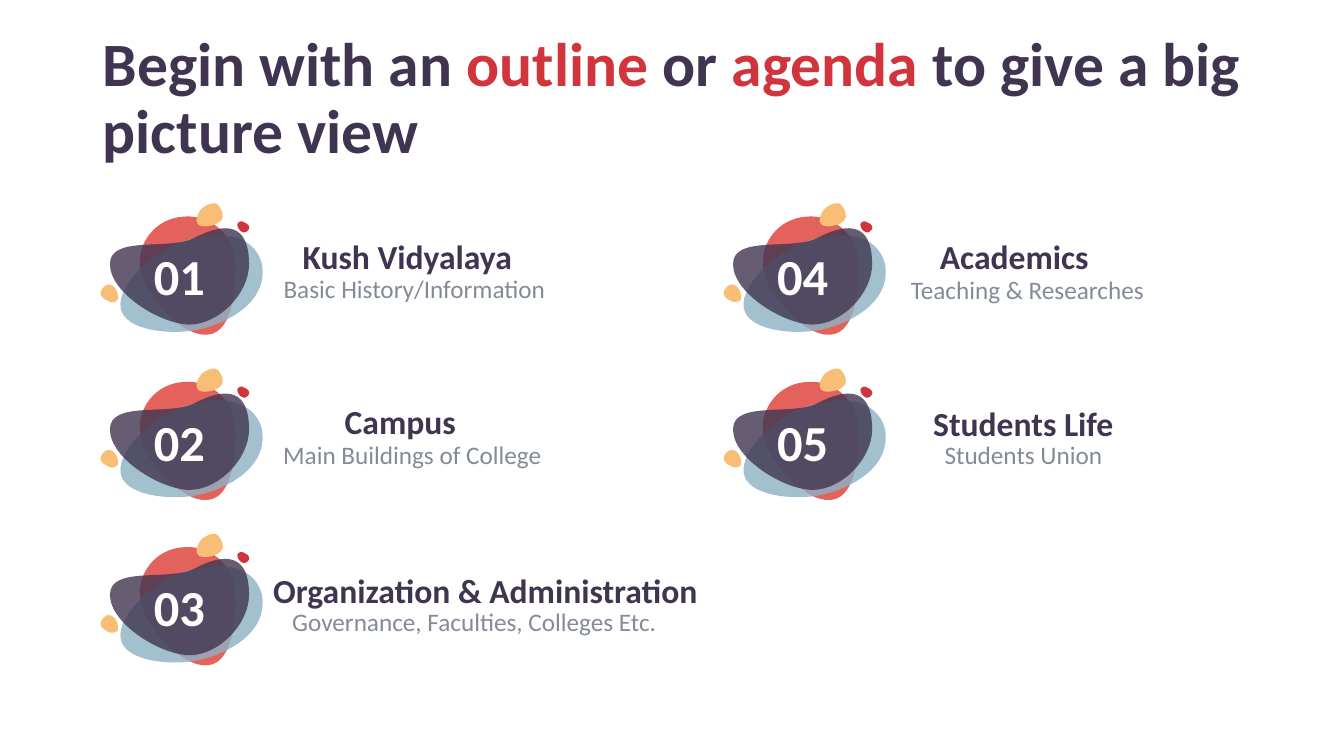
from dataclasses import dataclass

from lxml import etree
from pptx import Presentation
from pptx.dml.color import RGBColor
from pptx.enum.text import MSO_ANCHOR, MSO_AUTO_SIZE, PP_ALIGN
from pptx.oxml.ns import qn
from pptx.shapes.autoshape import Shape
from pptx.shapes.group import GroupShape
from pptx.shapes.shapetree import SlideShapes
from pptx.slide import Slide
from pptx.text.text import Font
from pptx.util import Inches, Pt

LEFT, CENTER = PP_ALIGN.LEFT, PP_ALIGN.CENTER
TOP, MIDDLE, BOTTOM = MSO_ANCHOR.TOP, MSO_ANCHOR.MIDDLE, MSO_ANCHOR.BOTTOM
GROW, NO_FIT = MSO_AUTO_SIZE.SHAPE_TO_FIT_TEXT, MSO_AUTO_SIZE.NONE

FONT_NAME = "Calibri"
PLUM = RGBColor(0x40, 0x35, 0x51)
CRIMSON = RGBColor(0xD0, 0x34, 0x3C)
CORAL = RGBColor(0xE4, 0x62, 0x5C)
SKY = RGBColor(0x8D, 0xB1, 0xC4)
AMBER = RGBColor(0xF9, 0xBE, 0x75)
GRAY = RGBColor(0x84, 0x8B, 0x98)
WHITE = RGBColor(0xFF, 0xFF, 0xFF)

BADGE_LEFT, BADGE_TOP = 1.0, 2.0
COLUMN_PITCH, ROW_PITCH = 6.18, 1.64
ROWS_PER_COLUMN = 3

Point = tuple[float, float]
Curve = tuple[Point, Point, Point]


@dataclass(frozen=True)
class Blob:
    """Closed outline of Bezier curves, in inches from the badge corner."""
    color: RGBColor
    box: tuple[float, float, float, float]
    curves: tuple[Curve, ...]
    opacity: int = 100
    numbered: bool = False


@dataclass(frozen=True)
class Caption:
    text: str
    left: float
    top: float
    width: float = 3.26
    align: PP_ALIGN = CENTER


@dataclass(frozen=True)
class CaptionStyle:
    height: float
    inset_top: float
    anchor: MSO_ANCHOR
    size: int
    color: RGBColor
    bold: bool


@dataclass(frozen=True)
class AgendaItem:
    heading: Caption
    detail: Caption


HEADING = CaptionStyle(0.61, 0.2, BOTTOM, 24, PLUM, True)
DETAIL = CaptionStyle(0.3, 0, TOP, 18, GRAY, False)

TITLE_PARTS = (
    ("Begin with an ", PLUM),
    ("outline", CRIMSON),
    (" or ", PLUM),
    ("agenda", CRIMSON),
    (" to give a big picture view", PLUM),
)

BLOBS = (
    Blob(CORAL, (0.38, 0.15, 0.95, 1.18), (
        ((0.41, 0.9), (0.8, 1.35), (1.06, 1.32)),
        ((1.32, 1.3), (1.35, 0.81), (1.33, 0.56)),
        ((1.3, 0.31), (1.07, 0.12), (0.81, 0.15)),
        ((0.55, 0.17), (0.36, 0.4), (0.39, 0.65)))),
    Blob(SKY, (0.2, 0.34, 1.41, 0.96), (
        ((0.29, 1.27), (0.64, 1.32), (0.92, 1.28)),
        ((1.21, 1.23), (1.66, 1.02), (1.6, 0.63)),
        ((1.57, 0.48), (1.41, 0.22), (0.83, 0.39)),
        ((0.5, 0.49), (0.11, 0.88), (0.21, 1.1))), opacity=80),
    Blob(PLUM, (0.09, 0.26, 1.38, 0.95), (
        ((0.09, 0.91), (0.6, 1.22), (0.88, 1.22)),
        ((1.17, 1.22), (1.47, 0.91), (1.47, 0.62)),
        ((1.47, 0.33), (1.35, 0.14), (0.93, 0.36)),
        ((0.68, 0.49), (0.09, 0.33), (0.09, 0.62))), opacity=80, numbered=True),
    Blob(AMBER, (0.95, 0.01, 0.26, 0.23), (
        ((1.0, 0.26), (1.13, 0.25), (1.19, 0.19)),
        ((1.24, 0.14), (1.19, 0.06), (1.16, 0.03)),
        ((1.13, 0.0), (1.06, 0.02), (1.0, 0.07)),
        ((0.95, 0.13), (0.93, 0.2), (0.97, 0.23)))),
    Blob(AMBER, (0.0, 0.82, 0.17, 0.18), (
        ((0.18, 0.94), (0.16, 0.85), (0.11, 0.83)),
        ((0.06, 0.8), (0.02, 0.85), (0.0, 0.89)),
        ((-0.01, 0.92), (0.01, 0.96), (0.06, 0.98)),
        ((0.1, 1.01), (0.15, 1.0), (0.17, 0.97)))),
    Blob(CRIMSON, (1.35, 0.19, 0.12, 0.11), (
        ((1.34, 0.23), (1.37, 0.29), (1.4, 0.3)),
        ((1.43, 0.32), (1.46, 0.29), (1.47, 0.27)),
        ((1.48, 0.25), (1.46, 0.22), (1.43, 0.21)),
        ((1.4, 0.19), (1.37, 0.19), (1.36, 0.21)))),
)

AGENDA = (
    AgendaItem(Caption("Kush Vidyalaya", 2.41, 2.13),
               Caption("Basic History/Information", 2.48, 2.71)),
    AgendaItem(Caption("Campus", 2.34, 3.77),
               Caption("Main Buildings of College", 2.46, 4.36)),
    AgendaItem(Caption("Organization & Administration", 2.61, 5.44, 4.5, LEFT),
               Caption("Governance, Faculties, Colleges Etc.", 2.8, 6.02, 3.98, LEFT)),
    AgendaItem(Caption("Academics", 8.43, 2.13),
               Caption("Teaching & Researches", 8.56, 2.72)),
    AgendaItem(Caption("Students Life", 8.52, 3.79),
               Caption("Students Union", 9.27, 4.36, align=LEFT)),
)


def format_font(font: Font, size: int, color: RGBColor, bold: bool) -> None:
    font.name, font.size, font.bold = FONT_NAME, Pt(size), bold
    font.color.rgb = color


def curve_outline(shape: Shape, blob: Blob) -> None:
    """Give the freeform the blob's Bezier curves as its outline."""
    outline = shape.element.find(".//" + qn("a:path"))
    for segment in list(outline):
        outline.remove(segment)
    start = blob.curves[-1][-1]
    for tag, points in [("a:moveTo", (start,)), *(("a:cubicBezTo", c) for c in blob.curves)]:
        segment = etree.SubElement(outline, qn(tag))
        for x, y in points:
            etree.SubElement(segment, qn("a:pt"), x=str(int(Inches(x - blob.box[0]))),
                             y=str(int(Inches(y - blob.box[1]))))
    etree.SubElement(outline, qn("a:close"))


def draw_blob(badge: GroupShape, blob: Blob, left: float, top: float, number: int) -> None:
    x, y, width, height = blob.box
    x0, y0 = Inches(left + x), Inches(top + y)
    x1, y1 = x0 + Inches(width), y0 + Inches(height)
    builder = badge.shapes.build_freeform(x0, y0)
    builder.add_line_segments([(x1, y0), (x1, y1), (x0, y1)], close=True)
    shape = builder.convert_to_shape()
    curve_outline(shape, blob)
    shape.shadow.inherit = False
    shape.line.fill.background()
    shape.fill.solid()
    shape.fill.fore_color.rgb = blob.color
    if blob.opacity < 100:
        fill_color = shape.element.spPr.find(".//" + qn("a:srgbClr"))
        etree.SubElement(fill_color, qn("a:alpha"), val=str(blob.opacity * 1000))
    if blob.numbered:
        frame = shape.text_frame
        frame.text = f"{number:02d}"
        frame.vertical_anchor = MIDDLE
        frame.margin_left = frame.margin_right = Inches(0.04)
        frame.margin_top = frame.margin_bottom = Inches(0.04)
        frame.paragraphs[0].alignment = CENTER
        format_font(frame.paragraphs[0].runs[0].font, 36, WHITE, True)


def draw_badge(shapes: SlideShapes, index: int) -> None:
    column, row = divmod(index, ROWS_PER_COLUMN)
    badge = shapes.add_group_shape()
    for blob in BLOBS:
        draw_blob(badge, blob, BADGE_LEFT + column * COLUMN_PITCH,
                  BADGE_TOP + row * ROW_PITCH, index + 1)


def draw_caption(group: GroupShape, caption: Caption, style: CaptionStyle) -> None:
    box = group.shapes.add_textbox(Inches(caption.left), Inches(caption.top),
                                   Inches(caption.width), Inches(style.height))
    frame = box.text_frame
    frame.text = caption.text
    frame.word_wrap, frame.auto_size = True, GROW
    frame.vertical_anchor = style.anchor
    frame.margin_top, frame.margin_bottom = Inches(style.inset_top), 0
    frame.paragraphs[0].alignment = caption.align
    format_font(frame.paragraphs[0].runs[0].font, style.size, style.color, style.bold)


def draw_title(slide: Slide) -> None:
    title = slide.shapes.title
    title.left, title.top = Inches(0.92), Inches(0.37)
    title.width, title.height = Inches(11.5), Inches(1.24)
    frame = title.text_frame
    frame.word_wrap, frame.auto_size = True, NO_FIT
    frame.vertical_anchor = MIDDLE
    line = frame.paragraphs[0]
    line.alignment, line.line_spacing = LEFT, 0.9
    for text, color in TITLE_PARTS:
        run = line.add_run()
        run.text = text
        format_font(run.font, 44, color, True)


def main() -> None:
    deck = Presentation()
    deck.slide_width, deck.slide_height = Inches(13.33), Inches(7.5)
    slide = deck.slides.add_slide(deck.slide_layouts[5])
    draw_title(slide)
    for index, item in enumerate(AGENDA):
        draw_badge(slide.shapes, index)
        captions = slide.shapes.add_group_shape()
        draw_caption(captions, item.heading, HEADING)
        draw_caption(captions, item.detail, DETAIL)
    deck.save("out.pptx")


if __name__ == "__main__":
    main()
